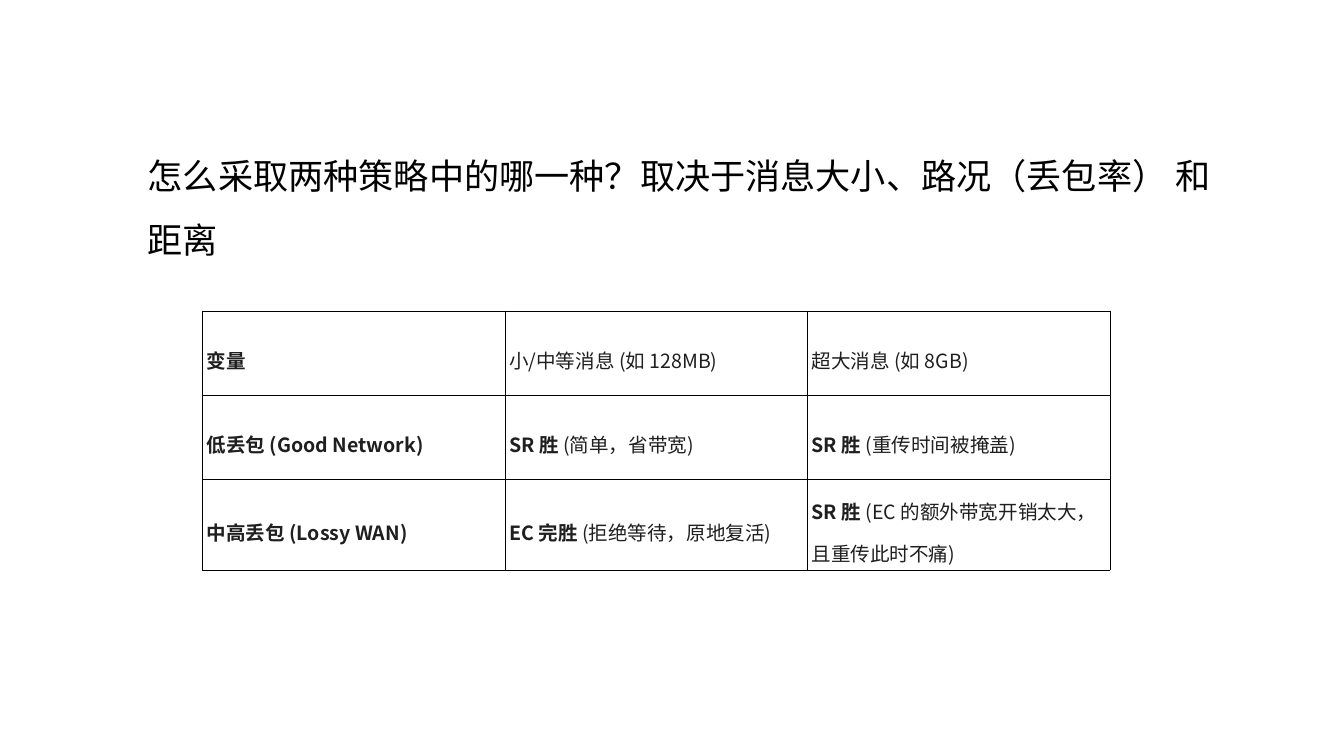
from lxml import etree
from pptx import Presentation
from pptx.dml.color import RGBColor
from pptx.enum.text import MSO_ANCHOR, MSO_AUTO_SIZE, PP_ALIGN
from pptx.oxml.ns import qn
from pptx.util import Emu, Pt

ANCHOR_TOP = MSO_ANCHOR.TOP
ANCHOR_MIDDLE = MSO_ANCHOR.MIDDLE
ALIGN_LEFT = PP_ALIGN.LEFT
AUTO_SIZE_NONE = MSO_AUTO_SIZE.NONE

EMU_PER_PX = 9144  # 100 px to the inch
TITLE_ONLY_LAYOUT = 5
BORDER_TAGS = ("a:lnL", "a:lnR", "a:lnT", "a:lnB")

TITLE = "怎么采取两种策略中的哪一种？取决于消息大小、路况（丢包率） 和 距离"

# Each cell is a list of (text, bold) runs
STRATEGY_ROWS = [
    [
        [("变量", True)],
        [("小/中等消息 (如 128MB)", False)],
        [("超大消息 (如 8GB)", False)],
    ],
    [
        [("低丢包 (Good Network)", True)],
        [("SR 胜 ", True), ("(简单，省带宽)", False)],
        [("SR 胜 ", True), ("(重传时间被掩盖)", False)],
    ],
    [
        [("中高丢包 (Lossy WAN)", True)],
        [("EC 完胜 ", True), ("(拒绝等待，原地复活)", False)],
        [("SR 胜 ", True), ("(EC 的额外带宽开销太大，且重传此时不痛)", False)],
    ],
]


def px(length):
    return Emu(length * EMU_PER_PX)


def color(hex_string):
    return RGBColor.from_string(hex_string)


class StrategySlide:
    title_font = "Arial"
    chinese_font = "Noto Sans CJK SC"
    title_color = "000000"
    cell_color = "1F1F1F"
    border_color = "000000"
    background_color = "FFFFFF"
    line_spacing = 1.5

    def __init__(self, presentation):
        layout = presentation.slide_layouts[TITLE_ONLY_LAYOUT]
        self.slide = presentation.slides.add_slide(layout)
        background = self.slide.background.fill
        background.solid()
        background.fore_color.rgb = color(self.background_color)

    def add_runs(self, paragraph, runs, font_name, size, hex_string):
        paragraph.alignment = ALIGN_LEFT
        paragraph.line_spacing = self.line_spacing
        for text, bold in runs:
            run = paragraph.add_run()
            run.text = text
            run.font.name = font_name
            run.font.size = Pt(size)
            run.font.bold = bold
            run.font.color.rgb = color(hex_string)
            latin = run.font._element.find(qn("a:latin"))
            east_asian = etree.Element(qn("a:ea"), typeface=self.chinese_font)
            latin.addnext(east_asian)

    def title(self, text, left, top, width, height):
        shape = self.slide.shapes.title
        shape.left, shape.top = px(left), px(top)
        shape.width, shape.height = px(width), px(height)
        frame = shape.text_frame
        frame.word_wrap = True
        frame.auto_size = AUTO_SIZE_NONE
        frame.vertical_anchor = ANCHOR_TOP
        self.add_runs(frame.paragraphs[0], [(text, False)],
                      self.title_font, 36, self.title_color)

    def border(self, cell):
        properties = cell._tc.get_or_add_tcPr()
        for position, tag in enumerate(BORDER_TAGS):
            line = etree.Element(qn(tag), w=str(Pt(0.4)))
            fill = etree.SubElement(line, qn("a:solidFill"))
            etree.SubElement(fill, qn("a:srgbClr"), val=self.border_color)
            properties.insert(position, line)

    def cell(self, cell, runs):
        cell.margin_left = cell.margin_right = px(6)
        cell.margin_top = cell.margin_bottom = px(4)
        cell.vertical_anchor = ANCHOR_MIDDLE
        cell.fill.background()
        self.border(cell)
        self.add_runs(cell.text_frame.paragraphs[0], runs,
                      self.chinese_font, 20, self.cell_color)

    def table(self, rows, left, top, column_width, row_heights):
        column_count = len(rows[0])
        table = self.slide.shapes.add_table(
            len(rows), column_count, px(left), px(top),
            px(column_width * column_count), px(sum(row_heights))).table
        table.first_row = False
        table.horz_banding = False
        for column in table.columns:
            column.width = px(column_width)
        for row, height, cells in zip(table.rows, row_heights, rows):
            row.height = px(height)
            for cell, runs in zip(row.cells, cells):
                self.cell(cell, runs)


def main():
    presentation = Presentation()
    presentation.slide_width = px(1911)
    presentation.slide_height = px(1067)
    strategy_slide = StrategySlide(presentation)

    # Question
    strategy_slide.title(TITLE, 200, 185, 1551, 814)

    # Comparison by message size and packet loss
    strategy_slide.table(STRATEGY_ROWS, 288, 442, 430, [120, 120, 122])

    presentation.save("out.pptx")


if __name__ == "__main__":
    main()
